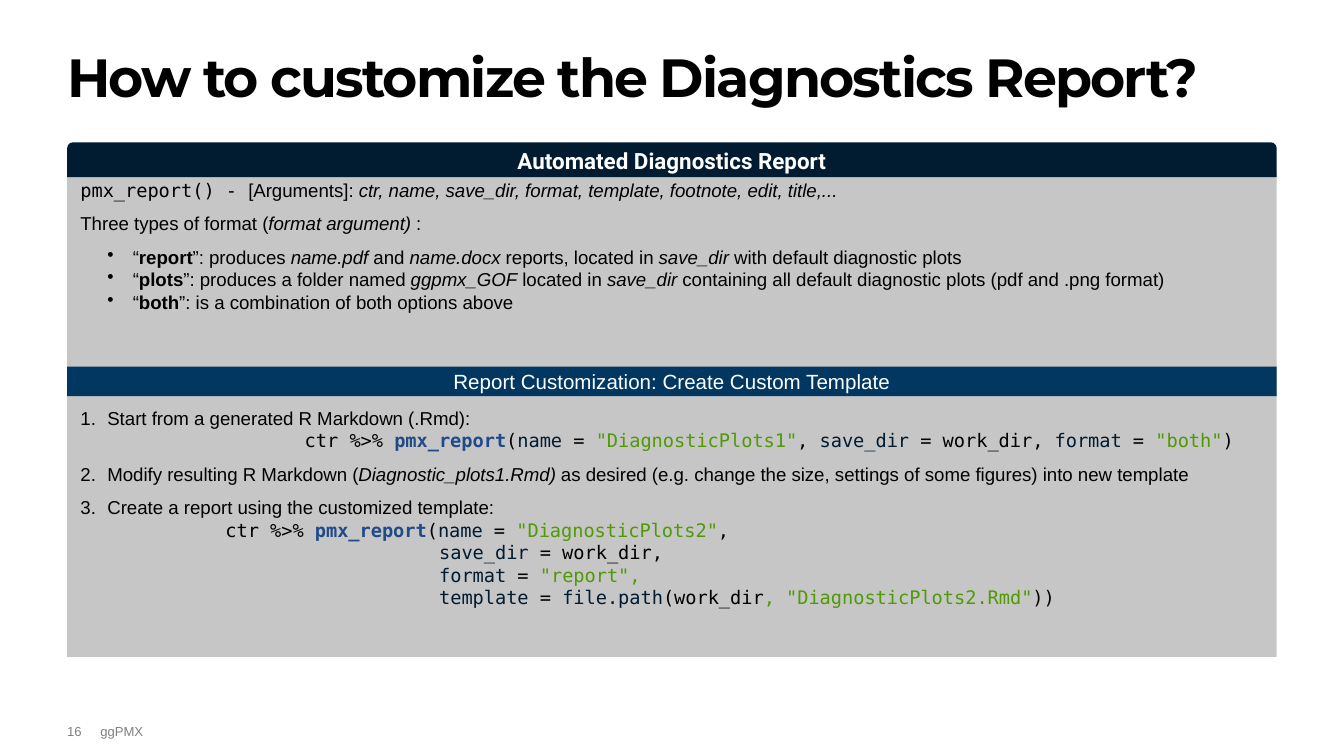
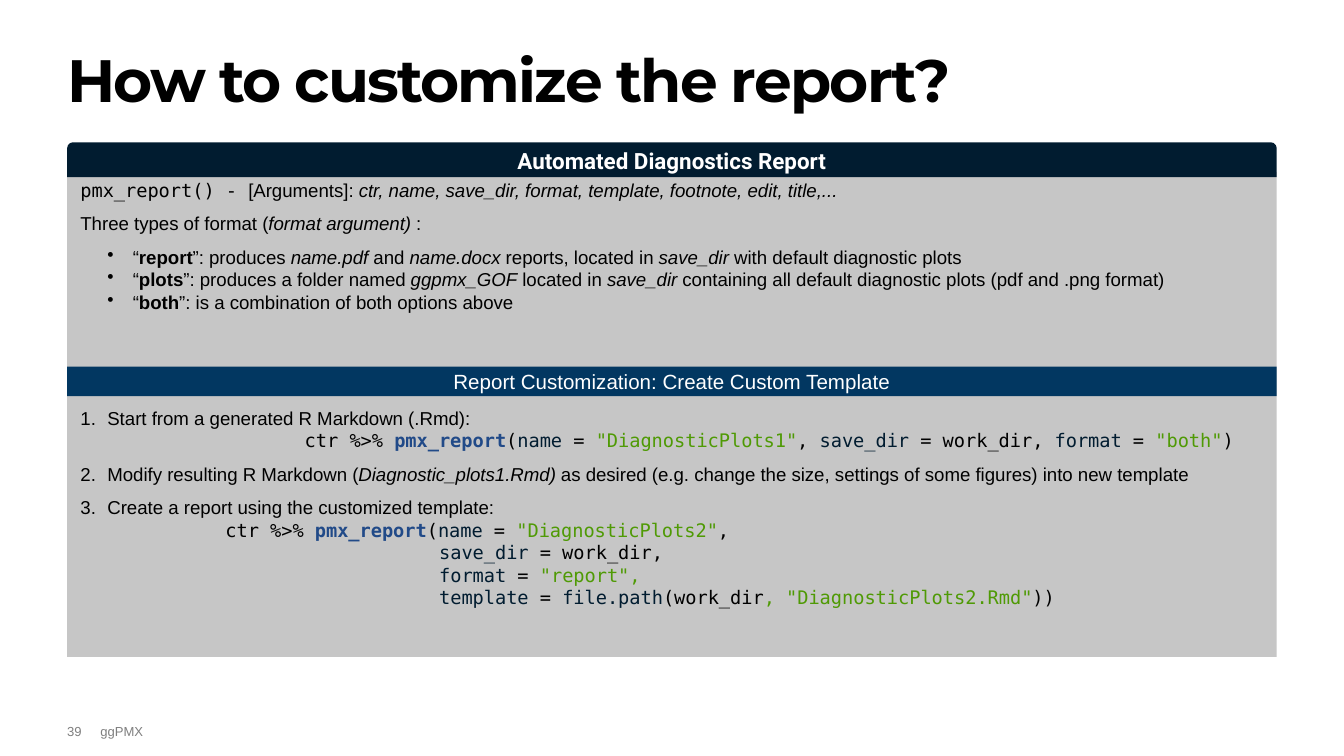
from dataclasses import dataclass

from lxml.etree import SubElement
from pptx import Presentation
from pptx.dml.color import RGBColor
from pptx.enum.shapes import MSO_SHAPE
from pptx.enum.text import MSO_ANCHOR, PP_ALIGN
from pptx.oxml.ns import qn
from pptx.util import Cm, Pt


@dataclass(frozen=True)
class Theme:
    black: str = "000000"
    white: str = "FFFFFF"
    navy: str = "011C30"
    blue: str = "023761"
    panel: str = "C6C6C6"
    footer: str = "7F7F7F"
    function: str = "214A88"
    string: str = "4F9A05"
    body_font: str = "Arial"
    code_font: str = "DejaVu Sans Mono"
    title_font: str = "Montserrat"
    band_font: str = "Roboto"
    body_size: float = 10
    band_size: float = 12
    subband_size: float = 11
    footer_size: float = 7


THEME = Theme()
LEFT, WIDTH = 1.27, 22.86

BODY = {"name": THEME.body_font, "size": Pt(THEME.body_size), "color": THEME.black}
CODE = BODY | {"name": THEME.code_font}
STYLES = {
    "body": BODY,
    "italic": BODY | {"italic": True},
    "bold": BODY | {"bold": True},
    "code": CODE,
    "function": CODE | {"color": THEME.function, "bold": True},
    "argument": CODE | {"color": THEME.navy},
    "string": CODE | {"color": THEME.string},
    "title": {"name": THEME.title_font, "color": THEME.black, "bold": True},
    "band": {"name": THEME.band_font, "size": Pt(THEME.band_size),
             "color": THEME.white, "bold": True},
    "subband": {"name": THEME.body_font, "size": Pt(THEME.subband_size),
                "color": THEME.white},
    "footer": {"name": THEME.body_font, "size": Pt(THEME.footer_size),
               "color": THEME.footer},
}

# Paragraph formats: margin and hang in cm, the rest as paragraph attributes
GAP = {"space_after": Pt(6)}
PLAIN = GAP | {"alignment": PP_ALIGN.JUSTIFY}
BULLET = {"alignment": PP_ALIGN.JUSTIFY, "margin": 0.99, "hang": 0.48, "bullet": "•"}
STEP = {"margin": 0.51, "hang": 0.51}
FIRST_CALL = GAP | {"margin": 4.24}
SECOND_CALL = {"margin": 2.74}
CALL_ARGUMENT = {"margin": 6.78}

REPORT_TEXT = [
    (PLAIN, [("pmx_report() - ", "code"), ("[Arguments]: ", "body"),
             ("ctr, name, save_dir, format, template, footnote, edit, title,...",
              "italic")]),
    (PLAIN, [("Three types of format (", "body"), ("format argument)", "italic"),
             (" :", "body")]),
    (BULLET, [("“", "body"), ("report", "bold"), ("”: produces ", "body"),
              ("name.pdf", "italic"), (" and ", "body"), ("name.docx ", "italic"),
              ("reports, located in ", "body"), ("save_dir", "italic"),
              (" with default diagnostic plots", "body")]),
    (BULLET, [("“", "body"), ("plots", "bold"),
              ("”: produces a folder named ", "body"), ("ggpmx_GOF", "italic"),
              (" located in ", "body"), ("save_dir", "italic"),
              (" containing all default diagnostic plots (pdf and .png format)",
               "body")]),
    (BULLET, [("“", "body"), ("both", "bold"),
              ("”: is a combination of both options above", "body")]),
    (STEP | {"number": 1, "space_before": Pt(50)},
     [("Start from a generated R Markdown (.Rmd):", "body")]),
    (FIRST_CALL, [("ctr %>% ", "code"), ("pmx_report", "function"), ("(", "code"),
                  ("name", "argument"), (" = ", "code"),
                  ('"DiagnosticPlots1"', "string"), (", ", "code"),
                  ("save_dir", "argument"), (" = work_dir, ", "code"),
                  ("format", "argument"), (" = ", "code"), ('"both"', "string"),
                  (")", "code")]),
    (STEP | GAP | {"number": 2},
     [("Modify resulting R Markdown (", "body"), ("Diagnostic_plots1.Rmd)", "italic"),
      (" as desired (e.g. change the size, settings of some figures)"
       " into new template", "body")]),
    (STEP | {"number": 3}, [("Create a report using the customized template:", "body")]),
    (SECOND_CALL, [("ctr %>% ", "code"), ("pmx_report", "function"), ("(", "code"),
                   ("name", "argument"), (" = ", "code"),
                   ('"DiagnosticPlots2"', "string"), (",", "code")]),
    (CALL_ARGUMENT, [("save_dir", "argument"), (" = work_dir,", "code")]),
    (CALL_ARGUMENT, [("format", "argument"), (" = ", "code"), ('"report",', "string")]),
    (CALL_ARGUMENT, [("template ", "argument"), ("= ", "code"),
                     ("file.path", "argument"), ("(work_dir", "code"),
                     (', "DiagnosticPlots2.Rmd"', "string"), ("))", "code")]),
]

CENTERED = {"alignment": PP_ALIGN.CENTER}
# Outline, top, height, fill, anchor, paragraphs
BLOCKS = [
    (MSO_SHAPE.RECTANGLE, 3.25, 9.17, THEME.panel, MSO_ANCHOR.TOP, REPORT_TEXT),
    (MSO_SHAPE.ROUND_2_SAME_RECTANGLE, 2.69, 0.66, THEME.navy, MSO_ANCHOR.MIDDLE,
     [(CENTERED, [("Automated Diagnostics Report", "band")])]),
    (MSO_SHAPE.RECTANGLE, 6.93, 0.56, THEME.blue, MSO_ANCHOR.MIDDLE,
     [(CENTERED, [("Report Customization: Create Custom Template", "subband")])]),
]
SLIDES = [
    ("How to customize the Diagnostics Report?", 28.8, "16"),
    ("How to customize the report?", 32, "39"),
]


def write_paragraphs(frame, paragraphs):
    """Fill a text frame with (format, [(text, style name), ...]) pairs."""
    frame.word_wrap = True
    for index, (layout, runs) in enumerate(paragraphs):
        paragraph = frame.add_paragraph() if index else frame.paragraphs[0]
        settings = {"alignment": PP_ALIGN.LEFT} | layout
        margin, hang = settings.pop("margin", 0), settings.pop("hang", 0)
        bullet, number = settings.pop("bullet", None), settings.pop("number", None)
        for attribute, value in settings.items():
            setattr(paragraph, attribute, value)
        properties = paragraph._p.get_or_add_pPr()
        properties.set("marL", str(int(Cm(margin))))
        properties.set("indent", str(-int(Cm(hang))))
        if bullet:
            SubElement(properties, qn("a:buChar"), char=bullet)
        elif number:
            SubElement(properties, qn("a:buAutoNum"), type="arabicPeriod",
                       startAt=str(number))
        for text, style in runs:
            run = paragraph.add_run()
            run.text = text
            for attribute, value in STYLES[style].items():
                if attribute == "color":
                    run.font.color.rgb = RGBColor.from_string(value)
                else:
                    setattr(run.font, attribute, value)


def add_label(slide, left, top, width, height, text, style, **layout):
    """Add a text box without insets and return its only run."""
    frame = slide.shapes.add_textbox(Cm(left), Cm(top), Cm(width), Cm(height)).text_frame
    for side in ("left", "top", "right", "bottom"):
        setattr(frame, f"margin_{side}", 0)
    write_paragraphs(frame, [(layout, [(text, style)])])
    return frame.paragraphs[0].runs[0]


deck = Presentation()
deck.slide_width, deck.slide_height = Cm(25.4), Cm(14.29)

for heading, heading_size, page in SLIDES:
    slide = deck.slides.add_slide(deck.slide_layouts[6])
    heading_run = add_label(slide, LEFT, 0.97, WIDTH, 1.78, heading, "title",
                            line_spacing=0.9)
    heading_run.font.size = Pt(heading_size)
    heading_run._r.get_or_add_rPr().set("spc", "-100")
    add_label(slide, 1.9, 13.67, 10.54, 0.64, "ggPMX", "footer")
    add_label(slide, LEFT, 13.67, 0.64, 0.64, page, "footer")

    for outline, top, height, fill, anchor, paragraphs in BLOCKS:
        block = slide.shapes.add_shape(outline, Cm(LEFT), Cm(top), Cm(WIDTH), Cm(height))
        block.shadow.inherit = False
        block.fill.solid()
        block.fill.fore_color.rgb = RGBColor.from_string(fill)
        block.line.fill.background()
        block.text_frame.vertical_anchor = anchor
        write_paragraphs(block.text_frame, paragraphs)

deck.save("out.pptx")
